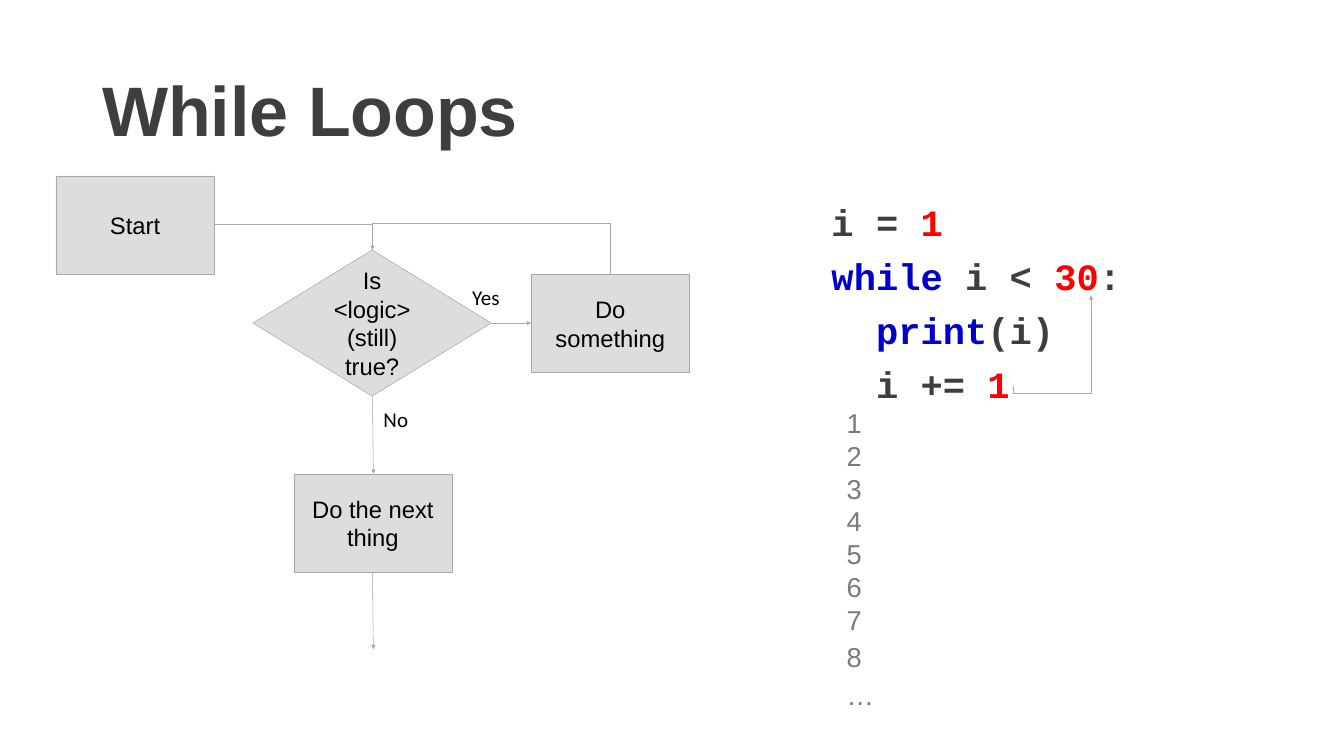
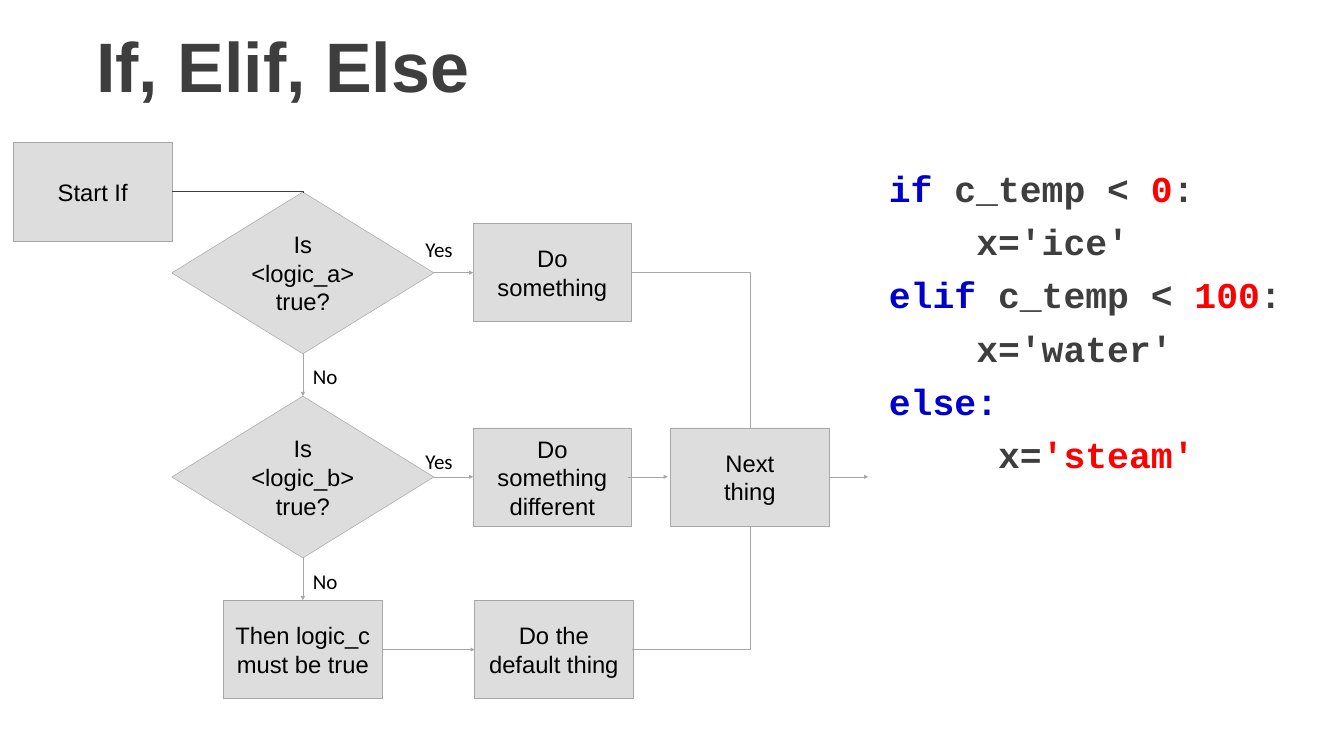
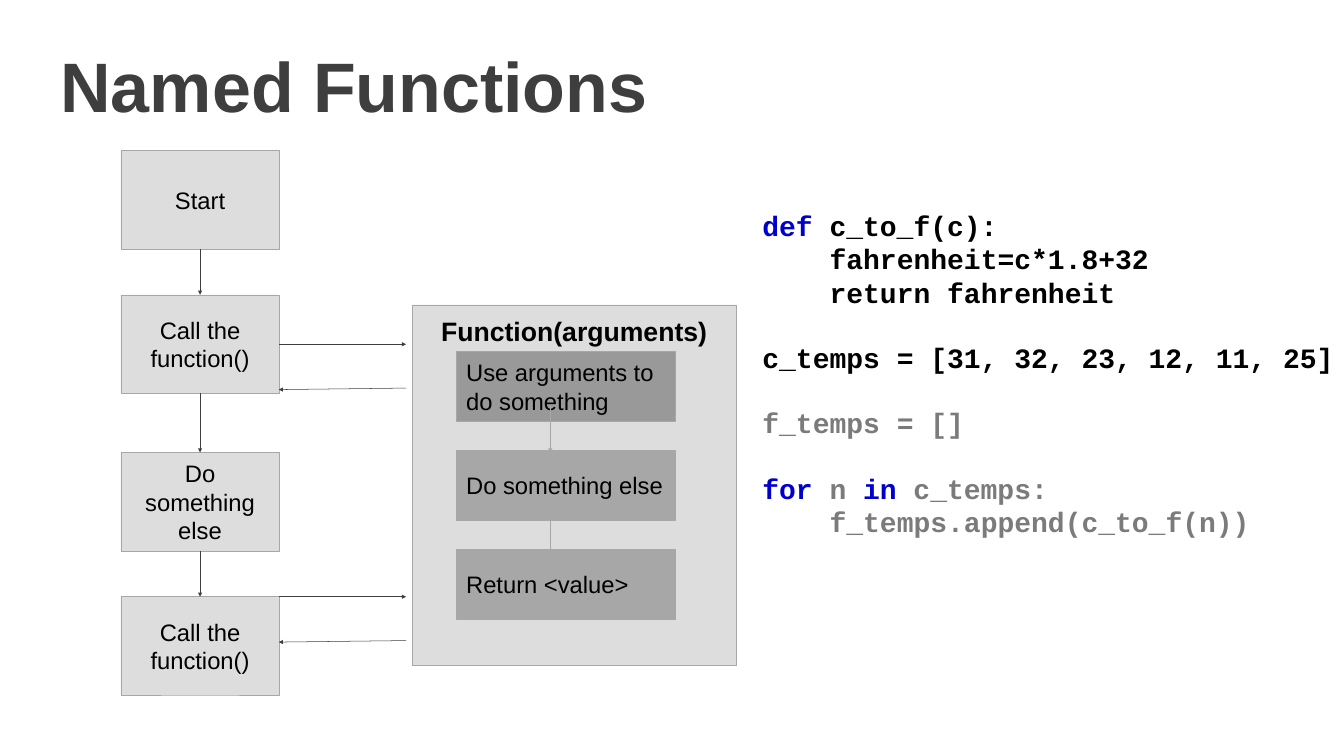
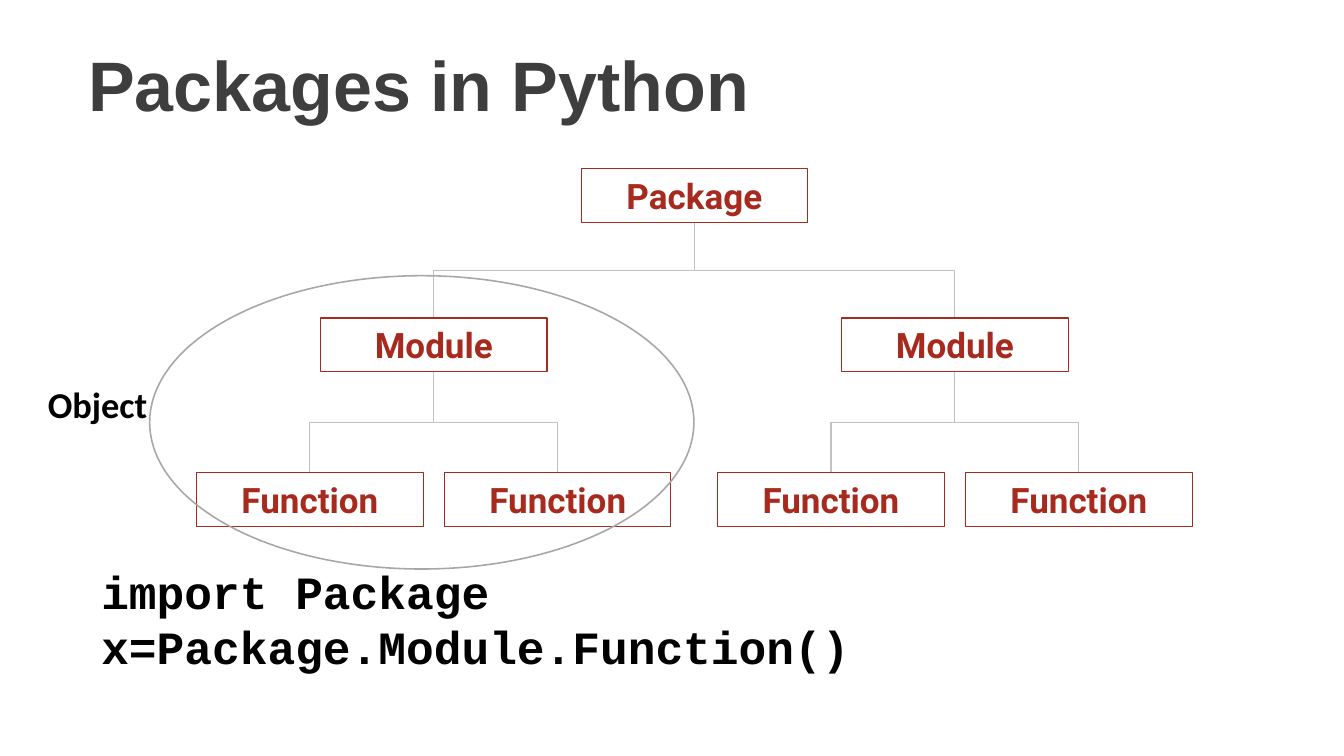
from lxml.etree import SubElement
from pptx import Presentation
from pptx.dml.color import RGBColor
from pptx.enum.shapes import MSO_CONNECTOR as Connector, MSO_SHAPE as Preset
from pptx.enum.text import MSO_ANCHOR as Anchor, PP_ALIGN as Align
from pptx.oxml.ns import qn
from pptx.util import Inches, Pt

COLORS = {
    "dark": "3E3E3E", "black": "000000", "keyword": "0000CD", "literal": "FF0000",
    "muted": "7B7B7B", "step": "DDDDDD", "inner": "A7A7A7", "inner first": "999999",
    "outline": "A7A7A7", "tree": "C2C2C2", "red": "A72A1E",
}
SANS, LABEL, MONO, TREE = "Arial", "Calibri", "Courier New", "Roboto"
STEP_WIDTH, STEP_HEIGHT = 3.14, 1.95
INNER_WIDTH, INNER_HEIGHT = 4.35, 1.39
NODE_WIDTH, NODE_HEIGHT = 4.49, 1.07
MONO_ADVANCE, MONO_LINE = 0.6, 1.13  # relative to the font size


def rgb(name):
    return RGBColor.from_string(COLORS[name])


def set_frame(shape, inset_x=0.2, inset_y=0.2, anchor=Anchor.TOP):
    frame = shape.text_frame
    frame.word_wrap = True
    frame.vertical_anchor = anchor
    frame.margin_left = frame.margin_right = Inches(inset_x)
    frame.margin_top = frame.margin_bottom = Inches(inset_y)
    return frame


def write(frame, lines, size, font=SANS, color="black", bold=False, align=Align.LEFT):
    """Write one paragraph per line, all in the same style."""
    for index, line in enumerate(lines):
        paragraph = frame.add_paragraph() if index else frame.paragraphs[0]
        paragraph.text = line
        paragraph.alignment = align
        paragraph.font.name = font
        paragraph.font.size = Pt(size)
        paragraph.font.bold = bold
        paragraph.font.color.rgb = rgb(color)
    return frame.paragraphs


def add_text_box(slide, box, lines, size, inset_y=0.2, anchor=Anchor.TOP, **style):
    shape = slide.shapes.add_textbox(*map(Inches, box))
    return write(set_frame(shape, inset_y=inset_y, anchor=anchor), lines, size, **style)


def add_title(slide, left, top, text):
    paragraphs = add_text_box(slide, (left, top, 23, 2.9), [text], 100, inset_y=0.1,
                              anchor=Anchor.MIDDLE, color="dark", bold=True)
    paragraphs[0].line_spacing = 0.9


def add_code(slide, box, size, lines, inset_y=0.2, line_spacing=1.0, space_before=0):
    """Each line is (indent in characters, empty lines above, [(text, color), ...])."""
    frame = set_frame(slide.shapes.add_textbox(*map(Inches, box)), inset_y=inset_y)
    for index, (indent, gap, runs) in enumerate(lines):
        paragraph = frame.add_paragraph() if index else frame.paragraphs[0]
        paragraph.line_spacing = line_spacing
        paragraph.space_before = Pt(space_before + gap * MONO_LINE * size)
        paragraph.font.name = MONO
        paragraph.font.size = Pt(size)
        paragraph.font.bold = True
        properties = paragraph._p.get_or_add_pPr()
        properties.set("marL", str(Pt(indent * MONO_ADVANCE * size)))
        properties.set("indent", "0")
        for text, color in runs:
            run = paragraph.add_run()
            run.text = text
            run.font.color.rgb = rgb(color)


def add_shape(slide, preset, box, fill=None, line="outline", line_width=0.75):
    shape = slide.shapes.add_shape(preset, *map(Inches, box))
    shape.shadow.inherit = False
    if fill:
        shape.fill.solid()
        shape.fill.fore_color.rgb = rgb(fill)
    else:
        shape.fill.background()
    shape.line.color.rgb = rgb(line)
    shape.line.width = Pt(line_width)
    return shape


def add_step(slide, left, top, *lines):
    shape = add_shape(slide, Preset.RECTANGLE, (left, top, STEP_WIDTH, STEP_HEIGHT), "step")
    write(set_frame(shape, anchor=Anchor.MIDDLE), lines, 34, align=Align.CENTER)


def add_decision(slide, box, text):
    shape = add_shape(slide, Preset.DIAMOND, box, "step")
    write(set_frame(shape, anchor=Anchor.MIDDLE), [text], 34, align=Align.CENTER)


def add_inner_step(slide, top, text, fill="inner"):
    shape = add_shape(slide, Preset.RECTANGLE, (9.05, top, INNER_WIDTH, INNER_HEIGHT), fill)
    write(set_frame(shape, anchor=Anchor.MIDDLE), [text], 34)


def add_node(slide, center, top, text):
    box = (center - NODE_WIDTH / 2, top, NODE_WIDTH, NODE_HEIGHT)
    shape = add_shape(slide, Preset.RECTANGLE, box, line="red", line_width=1.5)
    write(set_frame(shape, 0.27, 0.27, Anchor.MIDDLE), [text], 50, font=TREE,
          color="red", bold=True, align=Align.CENTER)


def add_label(slide, left, top, text):
    add_text_box(slide, (left, top, 1.16, 0.91), [text], 30, font=LABEL)


def style_connector(connector, color, width, arrow):
    connector.line.color.rgb = rgb(color)
    connector.line.width = Pt(width)
    properties = connector.element.spPr
    if arrow:
        SubElement(properties.find(qn("a:ln")), qn("a:tailEnd"), type="triangle")
    SubElement(properties, qn("a:effectLst"))


def add_line(slide, x1, y1, x2, y2, color="outline", arrow=True):
    connector = slide.shapes.add_connector(Connector.STRAIGHT, *map(Inches, (x1, y1, x2, y2)))
    style_connector(connector, color, 0.75, arrow)


def add_corner(slide, x1, y1, x2, y2, color="outline"):
    """Run sideways first, then turn once."""
    connector = slide.shapes.add_connector(Connector.ELBOW, *map(Inches, (x1, y1, x2, y2)))
    connector.element.spPr.find(qn("a:prstGeom")).set("prst", "bentConnector2")
    style_connector(connector, color, 0.75, False)


def add_upright_elbow(slide, x1, y1, x2, y2, bend=0.5, color="outline", width=0.75, arrow=False):
    """Leave and arrive vertically; bend is the share of the height where it crosses."""
    length, breadth = abs(y2 - y1), abs(x2 - x1)
    left, top = (x1 + x2 - length) / 2, (y1 + y2 - breadth) / 2
    connector = slide.shapes.add_connector(
        Connector.ELBOW, *map(Inches, (left, top, left + length, top + breadth)))
    rightward, downward = x2 > x1, y2 > y1
    transform = connector.element.spPr.find(qn("a:xfrm"))
    transform.set("rot", str((270 if rightward else 90) * 60000))
    if rightward == downward:
        transform.set("flipH", "1")
    adjustments = connector.element.spPr.find(qn("a:prstGeom")).find(qn("a:avLst"))
    SubElement(adjustments, qn("a:gd"), name="adj1", fmla=f"val {round(bend * 100000)}")
    style_connector(connector, color, width, arrow)


def build_while_loops(slide):
    add_title(slide, 1.83, 0.8, "While Loops")
    add_code(slide, (16.3, 3.96, 6.65, 9.52), 53, [
        (0, 0, [("i = ", "dark"), ("1", "literal")]),
        (0, 0, [("while", "keyword"), (" i < ", "dark"), ("30", "literal"), (":", "dark")]),
        (2, 0, [("print", "keyword"), ("(i)", "dark")]),
        (2, 0, [("i += ", "dark"), ("1", "literal")]),
    ], inset_y=0.1, line_spacing=0.9, space_before=20)
    output = add_text_box(slide, (16.6, 7.86, 6.56, 6.41), [*"12345678…"], 39, color="muted")
    for paragraph in output[-2:]:
        paragraph.line_spacing = 1.15
    add_upright_elbow(slide, 20.1, 7.66, 21.65, 5.86, bend=-0.08, arrow=True)

    add_decision(slide, (5.02, 4.96, 4.73, 2.9), "Is <logic> (still) true?")
    add_step(slide, 1.11, 3.49, "Start")
    add_step(slide, 5.83, 9.4, "Do the next thing")
    add_step(slide, 10.54, 5.44, "Do something")
    add_corner(slide, 4.24, 4.46, 7.39, 4.96)
    add_upright_elbow(slide, 12.11, 5.44, 7.39, 4.96, bend=2.1, arrow=True)
    add_line(slide, 9.76, 6.41, 10.54, 6.41)
    add_line(slide, 7.39, 7.86, 7.41, 9.4)
    add_line(slide, 7.39, 11.35, 7.41, 12.88)
    add_label(slide, 7.41, 7.86, "No")
    add_label(slide, 9.17, 5.44, "Yes")


def build_if_elif_else(slide):
    add_title(slide, 1.71, -0.07, "If, Elif, Else")
    add_code(slide, (17.44, 3.29, 8.73, 10.57), 52, [
        (0, 0, [("if", "keyword"), (" c_temp < ", "dark"), ("0", "literal"), (":", "dark")]),
        (4, 0, [("x='ice'", "dark")]),
        (0, 0, [("elif", "keyword"), (" c_temp < ", "dark"), ("100", "literal"), (":", "dark")]),
        (4, 0, [("x='water'", "dark")]),
        (0, 0, [("else:", "keyword")]),
        (5, 0, [("x=", "dark"), ("'steam'", "literal")]),
    ], inset_y=0.1, line_spacing=0.9, space_before=20)

    add_step(slide, 0.27, 2.83, "Start If")
    for top, condition, label_top in ((3.81, "logic_a", 4.5), (7.86, "logic_b", 8.7)):
        add_decision(slide, (3.41, top, 5.2, 3.21), f"Is <{condition}> true?")
        bottom, middle = top + 3.21, top + 1.6
        add_line(slide, 6.01, bottom, 6.01, bottom + 0.84)
        add_line(slide, 8.61, middle, 9.39, middle)
        add_label(slide, 6.01, bottom, "No")
        add_label(slide, 8.24, label_top, "Yes")
    add_step(slide, 9.39, 4.43, "Do something")
    add_step(slide, 9.39, 8.49, "Do something different")
    add_step(slide, 4.44, 11.91, "Then logic_c must be true")
    add_step(slide, 9.42, 11.91, "Do the default thing")
    add_step(slide, 13.31, 8.49, "Next", "thing")
    add_corner(slide, 3.41, 3.8, 6.01, 3.81, color="dark")
    add_corner(slide, 12.53, 5.41, 14.88, 8.49)
    add_corner(slide, 12.55, 12.89, 14.88, 10.44)
    add_line(slide, 7.58, 12.89, 9.42, 12.89)
    for start in (12.47, 16.45):
        add_line(slide, start, 9.46, start + 0.78, 9.46)


def build_named_functions(slide):
    function = add_shape(slide, Preset.RECTANGLE, (8.18, 6.05, 6.43, 7.16), "step")
    write(set_frame(function), ["Function(arguments)"], 38, bold=True, align=Align.CENTER)
    add_title(slide, 1, 0.34, "Named Functions")
    add_inner_step(slide, 6.97, "Use arguments to do something", "inner first")
    add_inner_step(slide, 8.93, "Do something else")
    add_inner_step(slide, 10.9, "Return <value>")
    for top in (8.06, 10.32):
        add_line(slide, 10.92, top, 10.92, top + 0.92)

    steps = [(2.99, "Start"), (5.85, "Call the function()"),
             (8.98, "Do something else"), (11.84, "Call the function()")]
    for top, text in steps:
        add_step(slide, 2.4, top, text)
    for (top, _), (next_top, _) in zip(steps, steps[1:]):
        add_line(slide, 3.97, top + STEP_HEIGHT, 3.97, next_top, "dark")
    for call_y in (6.83, 11.84):
        add_line(slide, 5.54, call_y, 8.06, call_y, "dark")
        add_line(slide, 8.06, call_y + 0.87, 5.53, call_y + 0.9, "dark")

    add_code(slide, (14.93, 3.93, 12.36, 7.14), 40, [
        (0, 0, [("def", "keyword"), (" c_to_f(c):", "black")]),
        (4, 0, [("fahrenheit=c*1.8+32", "black")]),
        (4, 0, [("return fahrenheit", "black")]),
        (0, 1, [("c_temps = [31, 32, 23, 12, 11, 25]", "black")]),
        (0, 1, [("f_temps = []", "muted")]),
        (0, 1, [("for", "keyword"), (" n ", "muted"), ("in", "keyword"), (" c_temps:", "muted")]),
        (4, 0, [("f_temps.append(c_to_f(n))", "muted")]),
    ])


def build_packages(slide):
    add_title(slide, 1.55, 0.32, "Packages in Python")
    package_x, module_offset, function_offset = 13.78, 5.17, 2.46
    package_top, module_top, function_top = 3.35, 6.31, 9.38

    def add_branch(parent_x, parent_top, child_x, child_top, text):
        add_upright_elbow(slide, parent_x, parent_top + NODE_HEIGHT, child_x, child_top,
                          color="tree", width=1.5)
        add_node(slide, child_x, child_top, text)

    add_node(slide, package_x, package_top, "Package")
    for module_x in (package_x - module_offset, package_x + module_offset):
        add_branch(package_x, package_top, module_x, module_top, "Module")
        for function_x in (module_x - function_offset, module_x + function_offset):
            add_branch(module_x, module_top, function_x, function_top, "Function")

    add_code(slide, (1.81, 10.97, 17.35, 2.63), 66, [
        (0, 0, [("import Package", "black")]),
        (0, 0, [("x=Package.Module.Function()", "black")]),
    ])
    add_text_box(slide, (0.75, 7.38, 2.47, 1.28), ["Object"], 52, font=LABEL, bold=True)
    add_shape(slide, Preset.OVAL, (2.97, 5.47, 10.8, 5.82), line_width=2.25)


def main():
    presentation = Presentation()
    presentation.slide_width, presentation.slide_height = Inches(26.67), Inches(15)
    blank = presentation.slide_layouts[6]
    for build in (build_while_loops, build_if_elif_else, build_named_functions, build_packages):
        build(presentation.slides.add_slide(blank))
    presentation.save("out.pptx")


if __name__ == "__main__":
    main()
